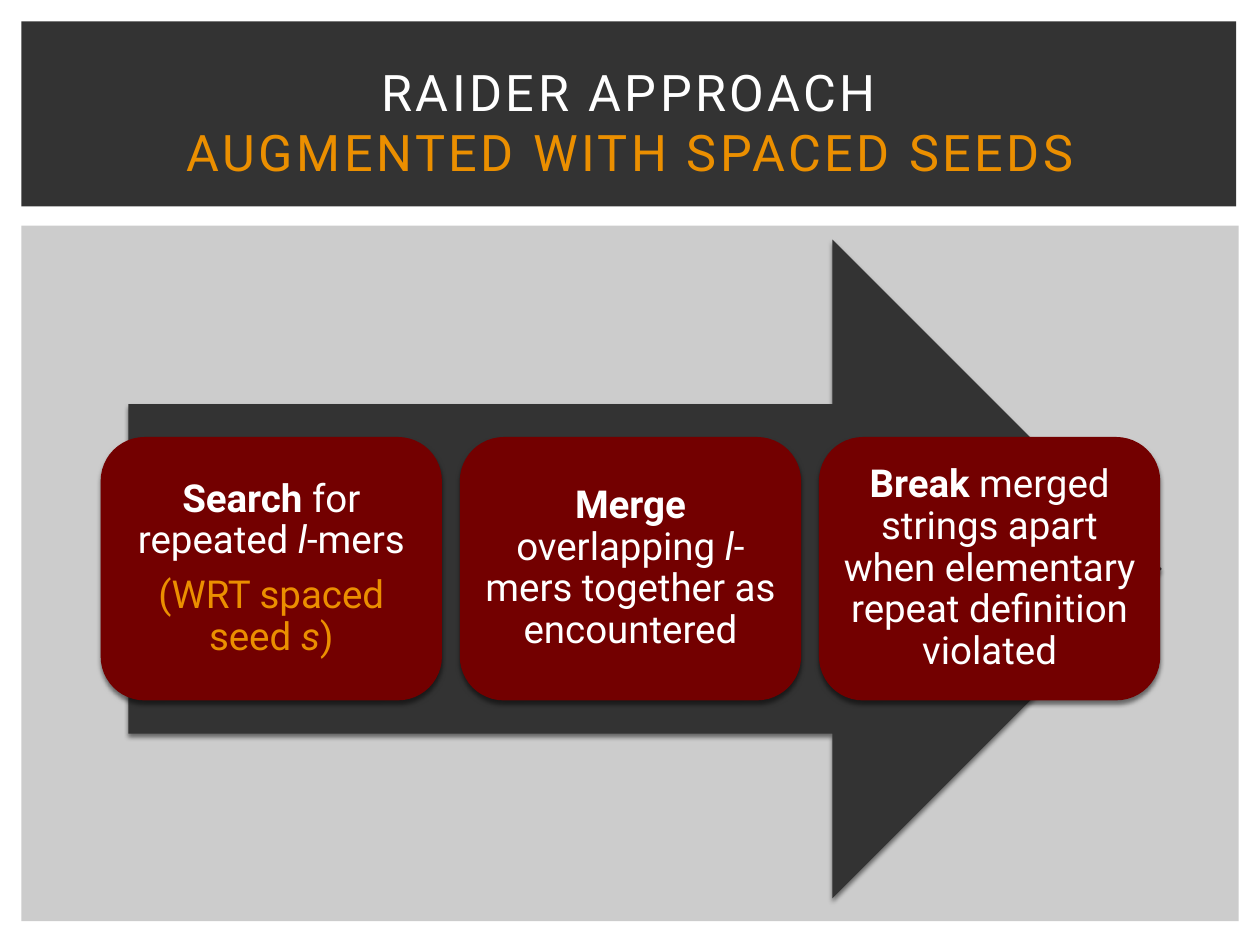
"""Build the RAIDER approach slide: a title band and three steps on an arrow."""
from lxml import etree
from pptx import Presentation
from pptx.dml.color import RGBColor
from pptx.enum.shapes import MSO_SHAPE
from pptx.enum.text import MSO_ANCHOR, PP_ALIGN
from pptx.oxml import parse_xml
from pptx.util import Cm, Pt

RECT, ARROW, ROUND = MSO_SHAPE.RECTANGLE, MSO_SHAPE.RIGHT_ARROW, MSO_SHAPE.ROUNDED_RECTANGLE
MIDDLE, CENTER = MSO_ANCHOR.MIDDLE, PP_ALIGN.CENTER
WHITE = RGBColor(0xFF, 0xFF, 0xFF)
GRAY = RGBColor(0xCC, 0xCC, 0xCC)
DARK = RGBColor(0x33, 0x33, 0x33)
RED = RGBColor(0x73, 0x00, 0x00)
ORANGE = RGBColor(0xEB, 0x8F, 0x00)
FONT = "Roboto"
SHADOW = (
    '<a:effectLst xmlns:a="http://schemas.openxmlformats.org/drawingml/2006/main">'
    '<a:outerShdw blurRad="31750" dist="25400" dir="5400000" rotWithShape="0">'
    '<a:srgbClr val="000000"><a:alpha val="50000"/></a:srgbClr>'
    '</a:outerShdw></a:effectLst>'
)

prs = Presentation()
prs.slide_width, prs.slide_height = Cm(25.4), Cm(19.05)
s = prs.slides.add_slide(prs.slide_layouts[6])


def add_box(kind, left, top, width, height, color, shadow=False):
    sp = s.shapes.add_shape(kind, Cm(left), Cm(top), Cm(width), Cm(height))
    sp.shadow.inherit = False
    sp.fill.solid()
    sp.fill.fore_color.rgb = color
    sp.line.fill.background()
    if shadow:
        effects = sp._element.spPr.find("{*}effectLst")
        effects.getparent().replace(effects, parse_xml(SHADOW))
    return sp


def add_run(p, text, size, color, style=""):
    r = p.add_run()
    r.text = text
    r.font.name, r.font.size = FONT, Pt(size)
    r.font.color.rgb = color
    r.font.bold, r.font.italic = style == "b", style == "i"
    return r


add_box(RECT, 0.43, 4.55, 24.54, 14.02, GRAY)
add_box(RECT, 0.43, 0.43, 24.49, 3.73, DARK)

title = s.shapes.add_textbox(Cm(1.07), Cm(0.99), Cm(23.29), Cm(2.92))
tf = title.text_frame
tf.word_wrap = True
tf.vertical_anchor = MIDDLE
p = tf.paragraphs[0]
p.alignment = CENTER
first = add_run(p, "RAIDER APPROACH", 28.8, WHITE)
p.add_line_break()
second = add_run(p, "AUGMENTED WITH SPACED SEEDS", 28.8, ORANGE)
for r in (first, second):
    r.font._element.set("spc", "200")

add_box(ARROW, 2.59, 4.83, 20.83, 13.28, DARK, shadow=True)

STEPS = [
    [
        (WHITE, [("Search ", "b"), ("for repeated ", ""), ("l", "i"), ("-mers", "")]),
        (ORANGE, [("(WRT spaced seed ", ""), ("s", "i"), (")", "")]),
    ],
    [(WHITE, [("Merge", "b"), (" overlapping ", ""), ("l", "i"),
              ("-mers together as encountered", "")])],
    [(WHITE, [("Break", "b"),
              (" merged strings apart when elementary repeat definition violated", "")])],
]
CARD_LEFT, CARD_PITCH = 2.03, 7.24

for i, paragraphs in enumerate(STEPS):
    card = add_box(ROUND, CARD_LEFT + i * CARD_PITCH, 8.81, 6.88, 5.31, RED, shadow=True)
    tf = card.text_frame
    tf.word_wrap = True
    tf.vertical_anchor = MIDDLE
    tf.margin_left = tf.margin_right = tf.margin_top = tf.margin_bottom = Cm(0.23)
    for j, (color, runs) in enumerate(paragraphs):
        p = tf.add_paragraph() if j else tf.paragraphs[0]
        p.alignment = CENTER
        p.line_spacing = 0.9
        p.space_after = Pt(7.7)
        for text, style in runs:
            add_run(p, text, 22, color, style)

prs.save("out.pptx")
